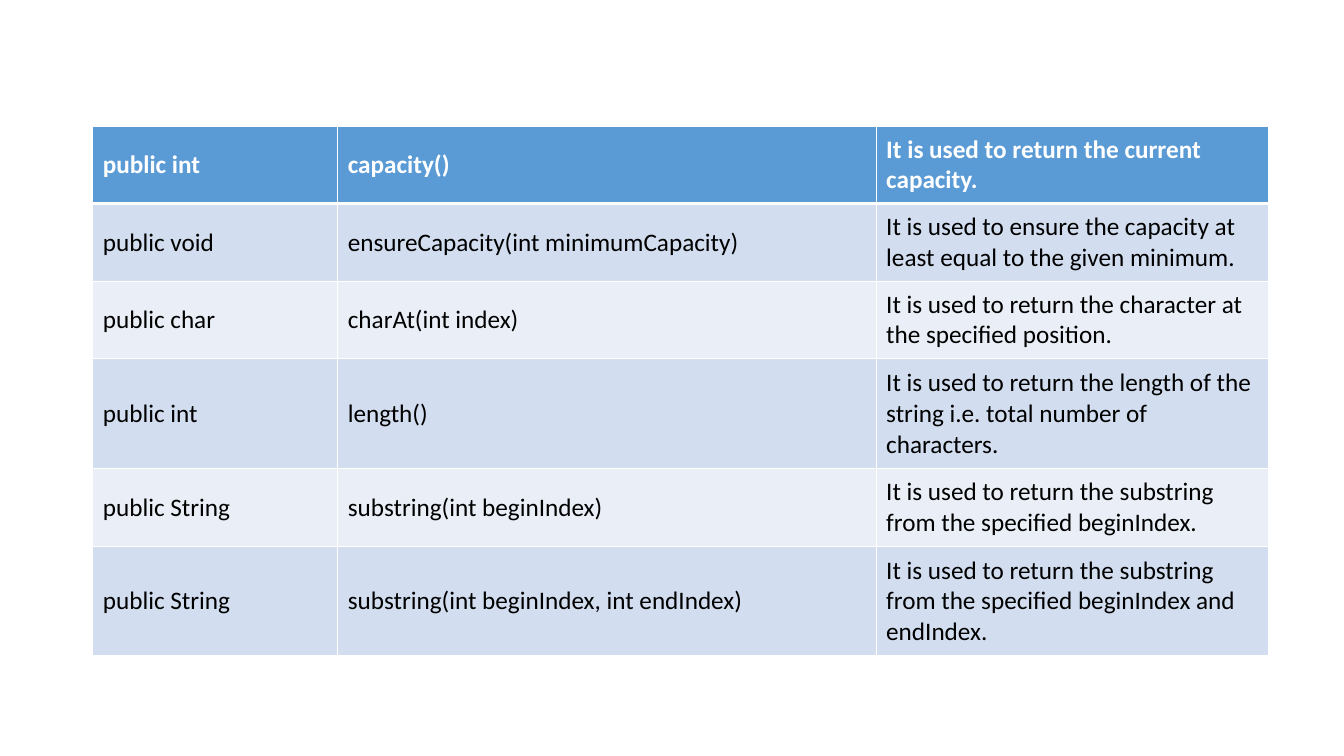
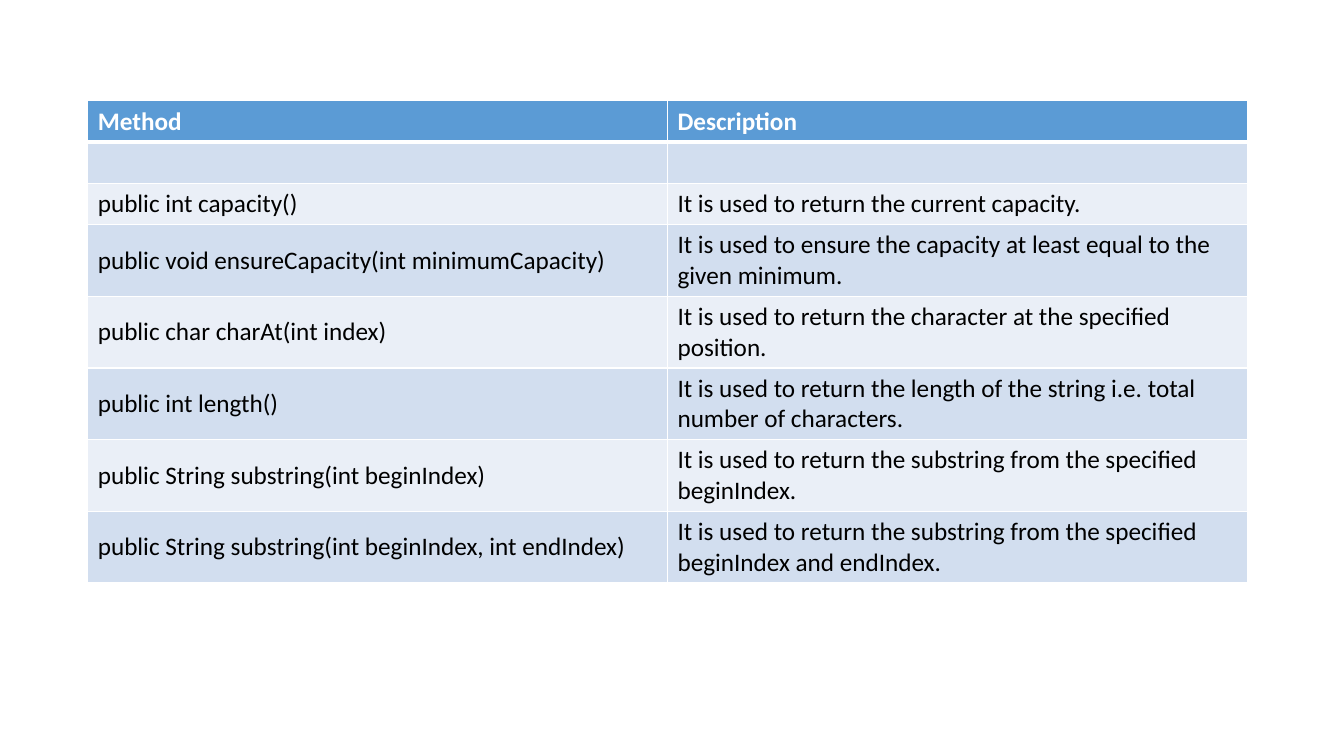
from lxml import etree
from pptx import Presentation
from pptx.dml.color import RGBColor
from pptx.enum.text import MSO_ANCHOR
from pptx.oxml.ns import qn
from pptx.util import Inches, Pt

# Content: return type, method, description
METHODS = [
    ("public int", "capacity()", "It is used to return the current capacity."),
    ("public void", "ensureCapacity(int minimumCapacity)",
     "It is used to ensure the capacity at least equal to the given minimum."),
    ("public char", "charAt(int index)",
     "It is used to return the character at the specified position."),
    ("public int", "length()",
     "It is used to return the length of the string i.e. total number of characters."),
    ("public String", "substring(int beginIndex)",
     "It is used to return the substring from the specified beginIndex."),
    ("public String", "substring(int beginIndex, int endIndex)",
     "It is used to return the substring from the specified beginIndex and endIndex."),
]
SUMMARY = [("Method", "Description"), ("", "")] + [
    (f"{returns} {method}", description) for returns, method, description in METHODS]

# Each table: rows, left, top, column widths, row heights
TABLES = [
    (METHODS, 0.92, 1.25, [2.43, 5.34, 3.89], [0.77, 0.77, 0.77, 1.09, 0.77, 1.09]),
    (SUMMARY, 0.87, 1.0, [5.75, 5.75], [0.41] * 3 + [0.7] * 5),
]

# Shared style
FONT, TEXT_SIZE = "Calibri", Pt(18)
WHITE = RGBColor(0xFF, 0xFF, 0xFF)
BLACK = RGBColor(0x00, 0x00, 0x00)
HEADER_BLUE = RGBColor(0x5B, 0x9B, 0xD5)
BANDS = [RGBColor(0xEA, 0xEF, 0xF7), RGBColor(0xD2, 0xDE, 0xEF)]
THIN, THICK = Pt(1), Pt(3)


def set_borders(cell, top, bottom):
    """Draw white lines on all four sides of a cell."""
    properties = cell._tc.get_or_add_tcPr()
    for side, width in (("L", THIN), ("R", THIN), ("T", top), ("B", bottom)):
        line = etree.SubElement(properties, qn(f"a:ln{side}"), w=str(width))
        fill = etree.SubElement(line, qn("a:solidFill"))
        etree.SubElement(fill, qn("a:srgbClr"), val=str(WHITE))


def style_cell(cell, text, row):
    header = row == 0
    set_borders(cell, THICK if row == 1 else THIN, THICK if header else THIN)
    cell.fill.solid()
    cell.fill.fore_color.rgb = HEADER_BLUE if header else BANDS[row % 2]
    cell.vertical_anchor = MSO_ANCHOR.MIDDLE
    cell.text = text
    font = cell.text_frame.paragraphs[0].font
    if text:
        font = cell.text_frame.paragraphs[0].runs[0].font
    font.name, font.size, font.bold = FONT, TEXT_SIZE, header
    font.color.rgb = WHITE if header else BLACK


def add_method_table(slide, rows, left, top, widths, heights):
    table = slide.shapes.add_table(
        len(rows), len(widths), Inches(left), Inches(top),
        Inches(sum(widths)), Inches(sum(heights))).table
    for column, width in zip(table.columns, widths):
        column.width = Inches(width)
    for row, (texts, height) in enumerate(zip(rows, heights)):
        table.rows[row].height = Inches(height)
        for column, text in enumerate(texts):
            style_cell(table.cell(row, column), text, row)


# Build the slides
prs = Presentation()
prs.slide_width, prs.slide_height = Inches(13.33), Inches(7.5)
blank_layout = prs.slide_layouts[6]
for table_spec in TABLES:
    add_method_table(prs.slides.add_slide(blank_layout), *table_spec)
prs.save("out.pptx")
